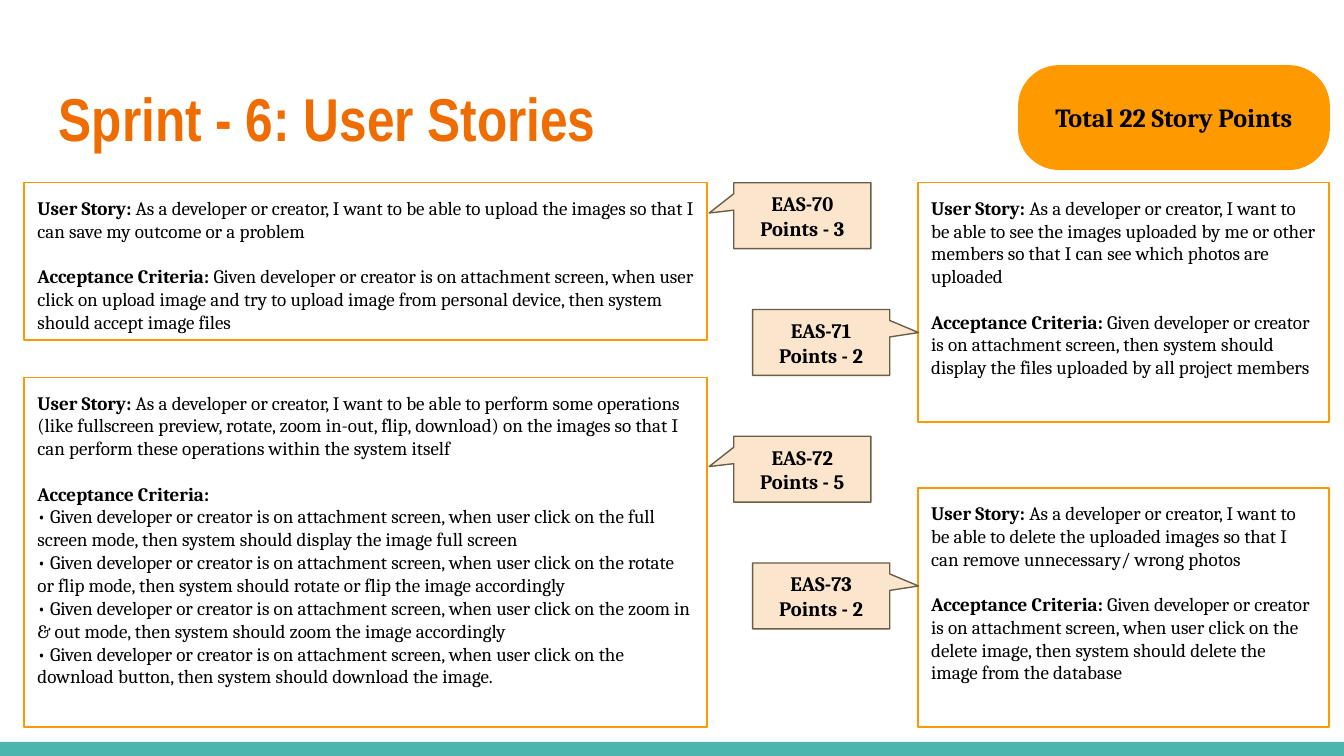
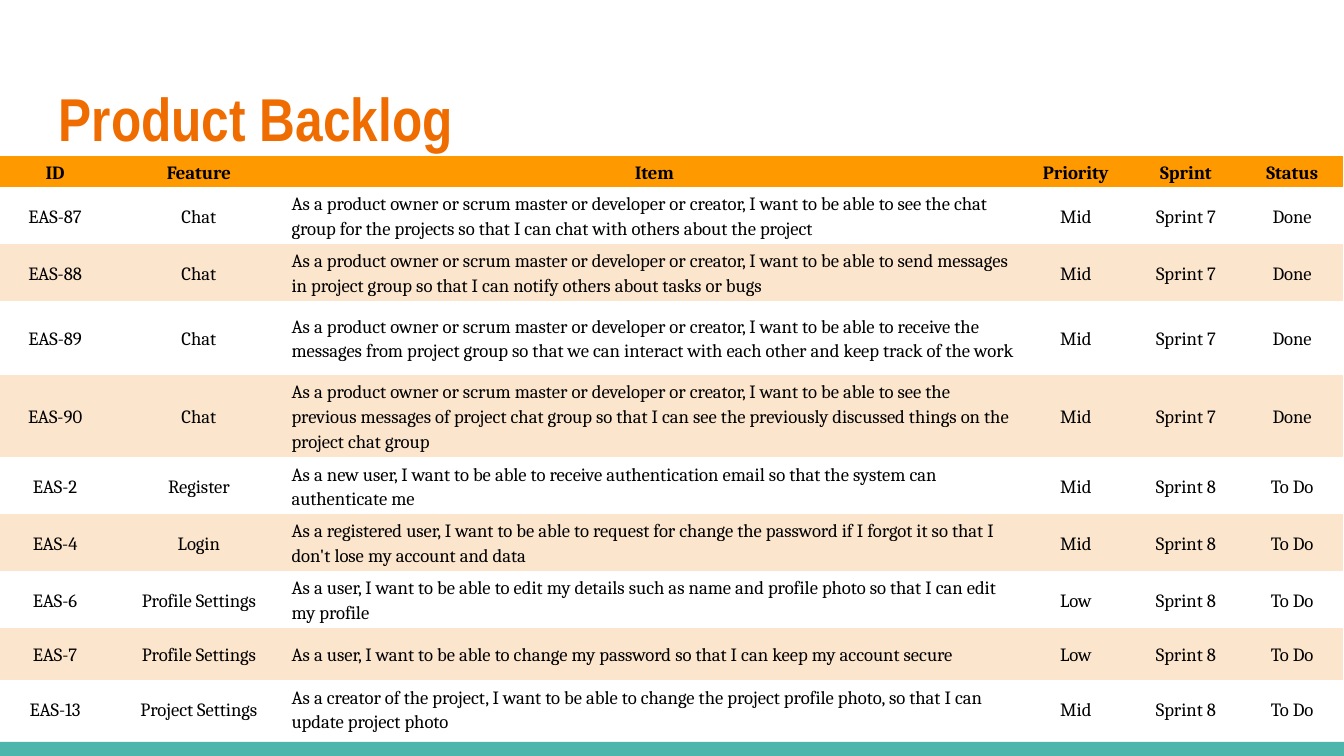
from dataclasses import dataclass

from pptx import Presentation
from pptx.dml.color import RGBColor
from pptx.enum.shapes import MSO_SHAPE
from pptx.enum.text import MSO_ANCHOR, PP_ALIGN
from pptx.util import Inches, Pt

RECT = MSO_SHAPE.RECTANGLE
PILL = MSO_SHAPE.ROUNDED_RECTANGLE
CALLOUT = MSO_SHAPE.ROUNDED_RECTANGULAR_CALLOUT
LEFT, CENTER = PP_ALIGN.LEFT, PP_ALIGN.CENTER
TOP, MIDDLE = MSO_ANCHOR.TOP, MSO_ANCHOR.MIDDLE

# The slide is a grid of 100 columns and 56.25 rows of square cells.
WIDTH, HEIGHT = Inches(10), Inches(5.625)
COLUMNS, ROWS = 100, 56.25

COLORS = {
    "title": "EF6C00",
    "band": "4DB6AC",
    "accent": "FF9900",
    "tint": "FCE5CD",
    "outline": "695D46",
    "text": "000000",
}
TITLE_FONT = {"name": "Arial Narrow", "size": Pt(32.4), "bold": True}
BADGE_FONT = {"name": "Cambria", "size": Pt(14), "bold": True}
TAG_FONT = {"name": "Cambria", "size": Pt(11), "bold": True}
LABEL_FONT = {"name": "Cambria", "size": Pt(10.2), "bold": True}
STORY_FONT = {**LABEL_FONT, "bold": False}
HEAD_FONT = {"name": "Cambria", "size": Pt(10), "bold": True}
CELL_FONT = {**HEAD_FONT, "bold": False}

FRAME = {"word_wrap": True} | {
    f"margin_{side}": Inches(0.1) for side in ("left", "right", "top", "bottom")
}
CELL = {
    "vertical_anchor": MIDDLE,
    "margin_left": Inches(0.03), "margin_right": Inches(0.03),
    "margin_top": Inches(0.02), "margin_bottom": Inches(0.02),
}
NO_GRID_STYLE = "{2D5ABB26-0587-4C30-8999-92F81FD0307C}"


@dataclass(frozen=True)
class Box:
    """Place and size in grid columns and rows."""
    col: float
    row: float
    cols: float
    rows: float

    def emu(self) -> tuple[int, int, int, int]:
        return across(self.col), down(self.row), across(self.cols), down(self.rows)


@dataclass(frozen=True)
class Story:
    box: Box
    wish: str
    criteria: str = ""
    points: tuple[str, ...] = ()


@dataclass(frozen=True)
class Tag:
    """A callout with its column and the place its tip points to."""
    key: str
    points: int
    col: float
    tip: tuple[float, float]


def across(cols: float) -> int:
    return round(WIDTH * cols / COLUMNS)


def down(rows: float) -> int:
    return round(HEIGHT * rows / ROWS)


def apply(target, values: dict) -> None:
    for name, value in values.items():
        setattr(target, name, value)


def rgb(color: str) -> RGBColor:
    return RGBColor.from_string(COLORS[color])


def add_run(p, text: str, font: dict, color: str = "text") -> None:
    r = p.add_run()
    r.text = text
    apply(r.font, font)
    r.font.color.rgb = rgb(color)


def new_paragraph(tf, first: bool, align=LEFT, before: float = 0):
    p = tf.paragraphs[0] if first else tf.add_paragraph()
    apply(p, {"alignment": align, "space_before": Pt(before)})
    return p


def add_box(slide, kind, box: Box, fill: str = "", line: str = "", anchor=MIDDLE):
    sp = slide.shapes.add_shape(kind, *box.emu())
    sp.shadow.inherit = False
    if fill:
        sp.fill.solid()
        sp.fill.fore_color.rgb = rgb(fill)
    else:
        sp.fill.background()
    if line:
        sp.line.color.rgb = rgb(line)
        sp.line.width = Pt(0.75)
    else:
        sp.line.fill.background()
    apply(sp.text_frame, {**FRAME, "vertical_anchor": anchor})
    return sp


def add_base_slide(prs, title: str):
    """Blank slide with the bottom band and the title."""
    slide = prs.slides.add_slide(prs.slide_layouts[6])
    add_box(slide, RECT, Box(0, 55.2, COLUMNS, 1.05), "band")
    tf = slide.shapes.add_textbox(*Box(3.4, 4.9, 93.2, 7.7).emu()).text_frame
    apply(tf, {**FRAME, "vertical_anchor": MIDDLE})
    add_run(tf.paragraphs[0], title, TITLE_FONT, "title")
    return slide


def add_badge(slide, text: str) -> None:
    sp = add_box(slide, PILL, Box(75.8, 4.9, 23.1, 7.7), "accent", "accent")
    sp.adjustments[0] = 0.39
    add_run(new_paragraph(sp.text_frame, True, CENTER), text, BADGE_FONT)


def add_story(slide, story: Story) -> None:
    tf = add_box(slide, RECT, story.box, line="accent", anchor=TOP).text_frame
    parts = (("User Story: ", story.wish, 0),
             ("Acceptance Criteria: " if story.criteria else "Acceptance Criteria:",
              story.criteria, 12))
    for i, (label, text, before) in enumerate(parts):
        p = new_paragraph(tf, i == 0, before=before)
        add_run(p, label, LABEL_FONT)
        if text:
            add_run(p, text, STORY_FONT)
    for point in story.points:
        add_run(new_paragraph(tf, False), f"• {point}", STORY_FONT)


def add_tag(slide, tag: Tag, row: float) -> None:
    sp = add_box(slide, CALLOUT, Box(tag.col, row, 10.2, 4.9), "tint", "outline")
    for i, value in enumerate((*tag.tip, 0)):
        sp.adjustments[i] = value
    for i, text in enumerate((tag.key, f"Points - {tag.points}")):
        add_run(new_paragraph(sp.text_frame, i == 0, CENTER), text, TAG_FONT)


def add_backlog(slide, head: tuple, items: list[tuple]) -> None:
    box = Box(0, TABLE_ROW, sum(TABLE_COLS), sum(TABLE_ROWS))
    frame = slide.shapes.add_table(len(items) + 1, len(head), *box.emu())
    table = frame.table
    frame._element.graphic.graphicData.tbl.tblPr.find(
        "{*}tableStyleId").text = NO_GRID_STYLE
    for column, cols in zip(table.columns, TABLE_COLS):
        column.width = across(cols)
    for row, rows in zip(table.rows, TABLE_ROWS):
        row.height = down(rows)
    for i, texts in enumerate((head, *items)):
        fill = "accent" if i == 0 else "" if i % 2 else "tint"
        for j, text in enumerate(texts):
            cell = table.cell(i, j)
            apply(cell, CELL)
            if fill:
                cell.fill.solid()
                cell.fill.fore_color.rgb = rgb(fill)
            else:
                cell.fill.background()
            is_item = i > 0 and head[j] == "Item"
            p = new_paragraph(cell.text_frame, True, LEFT if is_item else CENTER)
            p.line_spacing = 1.15
            add_run(p, text, CELL_FONT if i else HEAD_FONT)


LEFT_COL, LEFT_COLS = 1.8, 50.8
RIGHT_COL, RIGHT_COLS = 68.3, 30.6
STORY_ROW = 13.6
WISH = "As a developer or creator, I want to be able to "
GIVEN = "Given developer or creator is on attachment screen, "
CLICK = GIVEN + "when user click on the "
STORIES = [
    Story(Box(LEFT_COL, STORY_ROW, LEFT_COLS, 11.7),
          WISH + "upload the images so that I can save my outcome or a problem",
          GIVEN + "when user click on upload image and try to upload image from "
          "personal device, then system should accept image files"),
    Story(Box(RIGHT_COL, STORY_ROW, RIGHT_COLS, 17.8),
          WISH + "see the images uploaded by me or other members so that I can see "
          "which photos are uploaded",
          GIVEN + "then system should display the files uploaded by all project members"),
    Story(Box(LEFT_COL, 28.1, LEFT_COLS, 26),
          WISH + "perform some operations (like fullscreen preview, rotate, zoom "
          "in-out, flip, download) on the images so that I can perform these "
          "operations within the system itself",
          points=(
              CLICK + "full screen mode, then system should display the image full screen",
              CLICK + "rotate or flip mode, then system should rotate or flip the image "
              "accordingly",
              CLICK + "zoom in & out mode, then system should zoom the image accordingly",
              CLICK + "download button, then system should download the image.",
          )),
    Story(Box(RIGHT_COL, 36.3, RIGHT_COLS, 17.8),
          WISH + "delete the uploaded images so that I can remove unnecessary/ wrong photos",
          CLICK + "delete image, then system should delete the image from the database"),
]

TAG_STEP = 9.43
TO_LEFT = (54.6, (-0.68, -0.04))
TO_RIGHT = (56, (0.71, -0.15))
TAGS = [
    Tag("EAS-70", 3, *TO_LEFT),
    Tag("EAS-71", 2, *TO_RIGHT),
    Tag("EAS-72", 5, *TO_LEFT),
    Tag("EAS-73", 2, *TO_RIGHT),
]

TABLE_ROW = 11.6
TABLE_COLS = (8.2, 13.2, 54.6, 8.1, 8.3, 7.5)
TABLE_ROWS = (2.2, 3.9, 3.9, 5.5, 3.9, 3.9, 3.9, 2.2, 3.9, 3.9)
HEAD = ("ID", "Feature", "Item", "Priority", "Sprint", "Status")
TEAM = "As a product owner or scrum master or developer or creator, I want to be able to "
DONE = ("Sprint 7", "Done")
TO_DO = ("Sprint 8", "To Do")
BACKLOG = [
    ("EAS-87", "Chat", TEAM + "see the chat group for the projects so that I can chat "
     "with others about the project", "Mid", *DONE),
    ("EAS-88", "Chat", TEAM + "send messages in project group so that I can notify "
     "others about tasks or bugs", "Mid", *DONE),
    ("EAS-89", "Chat", TEAM + "receive the messages from project group so that we can "
     "interact with each other and keep track of the work", "Mid", *DONE),
    ("EAS-90", "Chat", TEAM + "see the previous messages of project chat group so that I "
     "can see the previously discussed things on the project chat group", "Mid", *DONE),
    ("EAS-2", "Register", "As a new user, I want to be able to receive authentication "
     "email so that the system can authenticate me", "Mid", *TO_DO),
    ("EAS-4", "Login", "As a registered user, I want to be able to request for change the "
     "password if I forgot it so that I don't lose my account and data", "Mid", *TO_DO),
    ("EAS-6", "Profile Settings", "As a user, I want to be able to edit my details such as "
     "name and profile photo so that I can edit my profile", "Low", *TO_DO),
    ("EAS-7", "Profile Settings", "As a user, I want to be able to change my password so "
     "that I can keep my account secure", "Low", *TO_DO),
    ("EAS-13", "Project Settings", "As a creator of the project, I want to be able to "
     "change the project profile photo, so that I can update project photo", "Mid", *TO_DO),
]


def main() -> None:
    prs = Presentation()
    apply(prs, {"slide_width": WIDTH, "slide_height": HEIGHT})

    slide = add_base_slide(prs, "Sprint - 6: User Stories")
    add_badge(slide, "Total 22 Story Points")
    for story in STORIES:
        add_story(slide, story)
    for i, tag in enumerate(TAGS):
        add_tag(slide, tag, STORY_ROW + i * TAG_STEP)

    slide = add_base_slide(prs, "Product Backlog")
    add_backlog(slide, HEAD, BACKLOG)
    prs.save("out.pptx")


if __name__ == "__main__":
    main()
